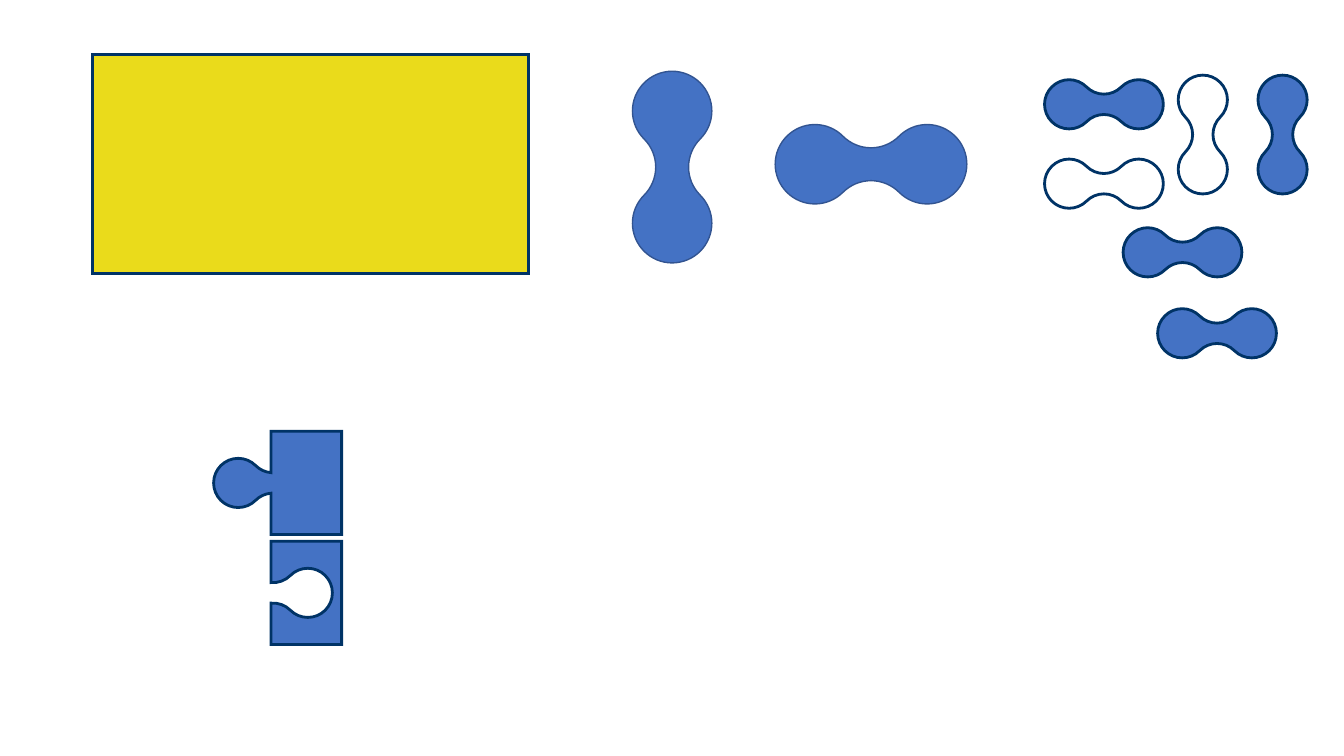
import math

from pptx import Presentation
from pptx import util as u
from pptx.dml.color import RGBColor
from pptx.enum import shapes
from pptx.oxml.ns import qn

# Content: centres, corners and sizes in centimetres
SLIDE_SIZE = (33.87, 19.05)
PANEL = (2.34, 1.37, 10.99, 5.52)
BIG, SMALL = 1, 0.62  # radius of the round ends
TILT = 45  # each outline is drawn tilted back by this angle, then turned

# (style, radius, turn, centre x, centre y); each inner list is one set
LINK_SETS = [
    [("thin", BIG, 315, 16.94, 4.21)],
    [("thin", BIG, 45, 21.95, 4.14)],
    [("hollow", SMALL, 135, 30.31, 3.39),
     ("solid", SMALL, 135, 32.32, 3.39)],
    [("hollow", SMALL, 45, 27.82, 4.63),
     ("solid", SMALL, 45, 27.82, 2.63)],
    [("solid", SMALL, 45, 30.67, 8.4)],
    [("solid", SMALL, 45, 29.8, 6.36)],
]

# Jigsaw pieces: top edge, and side of the neck the round end lies on
PIECE_LEFT, PIECE_WIDTH, PIECE_HEIGHT = 6.83, 1.78, 2.6
NECK_X = 6.88
TAB, SOCKET = -1, 1
PIECES = [(10.87, TAB), (13.64, SOCKET)]

THEME = {
    "panel": {"fill": "EADB1B", "line": "003366", "width": 2},
    "thin": {"fill": "4472C4", "line": "325491", "width": 1},
    "solid": {"fill": "4472C4", "line": "003366", "width": 2},
    "hollow": {"fill": "FFFFFF", "line": "003366", "width": 2},
}


def apply_style(shape, style):
    look = THEME[style]
    shape.shadow.inherit = False
    shape.fill.solid()
    formats = {
        shape.fill.fore_color: {"rgb": RGBColor.from_string(look["fill"])},
        shape.line.color: {"rgb": RGBColor.from_string(look["line"])},
        shape.line: {"width": u.Pt(look["width"])},
    }
    for target, values in formats.items():
        for attribute, value in values.items():
            setattr(target, attribute, value)
    # Sharp corners
    line = shape.element.spPr.find(qn("a:ln"))
    line.append(line.makeelement(qn("a:miter"), {"lim": "800000"}))


# Outlines: a step is one point for a line, three points for a curve
def on_circle(centre, radius, angle):
    turn = math.radians(angle)
    return (centre[0] + radius * math.cos(turn),
            centre[1] + radius * math.sin(turn))


def rotate(point, pivot, angle):
    dx, dy = point[0] - pivot[0], point[1] - pivot[1]
    heading = math.degrees(math.atan2(dy, dx))
    return on_circle(pivot, math.hypot(dx, dy), heading + angle)


def arc(centre, radius, start, sweep):
    count = math.ceil(abs(sweep) / 45)
    part = sweep / count
    reach = 4 / 3 * math.tan(math.radians(part) / 4)
    steps = []
    for i in range(count):
        first, last = start + i * part, start + (i + 1) * part
        a, b = (on_circle(centre, radius, angle) for angle in (first, last))
        out, back = (on_circle((0, 0), radius * reach, angle + 90)
                     for angle in (first, last))
        steps.append(((a[0] + out[0], a[1] + out[1]),
                      (b[0] - back[0], b[1] - back[1]), b))
    return steps


def link_outline(radius, x, y):
    offset = radius * math.sqrt(2)
    steps = [(on_circle((x - offset, y), radius, 45),)]
    for centre, start, sweep in [((x - offset, y), 45, 270), ((x, y - offset), 135, -90),
                                 ((x + offset, y), 225, 270), ((x, y + offset), 315, -90)]:
        steps += arc(centre, radius, start, sweep)
    return steps


def piece_outline(top, side):
    right, bottom = PIECE_LEFT + PIECE_WIDTH, top + PIECE_HEIGHT
    middle, offset = top + PIECE_HEIGHT / 2, SMALL * math.sqrt(2)
    lower, upper = (NECK_X, middle + offset), (NECK_X, middle - offset)
    lean = math.degrees(math.asin((NECK_X - PIECE_LEFT) / SMALL))
    neck_sweep = side * 45 + lean
    steps = [((PIECE_LEFT, top),), ((right, top),), ((right, bottom),),
             ((PIECE_LEFT, bottom),), (on_circle(lower, SMALL, 270 - lean),)]
    steps += arc(lower, SMALL, 270 - lean, neck_sweep)
    steps += arc((NECK_X + side * offset, middle), SMALL, 90 + side * 45, -side * 270)
    return steps + arc(upper, SMALL, 90 - side * 45, neck_sweep)


def draw_outline(parent, steps, style, pivot, turn):
    points = [tuple(map(u.Cm, rotate(point, pivot, -TILT)))
              for step in steps for point in step]
    builder = parent.build_freeform(*points[0])
    builder.add_line_segments(points[1:], close=True)
    shape = builder.convert_to_shape()
    # Join each three points of a curved step into one Bézier segment
    lines = iter(list(shape.element.iter(qn("a:lnTo"))))
    for step in steps[1:]:
        parts = [next(lines) for _ in step]
        if len(parts) == 3:
            curve = parts[0].makeelement(qn("a:cubicBezTo"), {})
            parts[0].addprevious(curve)
            for part in parts:
                curve.append(part[0])
                part.getparent().remove(part)
    # Turn about the pivot rather than the middle of the box
    middle = (shape.left + shape.width / 2, shape.top + shape.height / 2)
    x, y = rotate(middle, tuple(map(u.Cm, pivot)), TILT)
    shape.left, shape.top = round(x - shape.width / 2), round(y - shape.height / 2)
    shape.rotation = turn
    apply_style(shape, style)


def main():
    deck = Presentation()
    deck.slide_width, deck.slide_height = map(u.Cm, SLIDE_SIZE)
    slide = deck.slides.add_slide(deck.slide_layouts[6])

    # Yellow panel
    panel = slide.shapes.add_shape(shapes.MSO_SHAPE.RECTANGLE, *map(u.Cm, PANEL))
    apply_style(panel, "panel")

    # Links, paired ones grouped
    for links in LINK_SETS:
        parent = slide.shapes
        if len(links) > 1:
            parent = slide.shapes.add_group_shape().shapes
        for style, radius, turn, x, y in links:
            draw_outline(parent, link_outline(radius, x, y), style, (x, y), turn)

    # Jigsaw pieces
    for top, side in PIECES:
        draw_outline(slide.shapes, piece_outline(top, side), "solid",
                     (PIECE_LEFT, top), TILT)

    deck.save("out.pptx")


if __name__ == "__main__":
    main()
